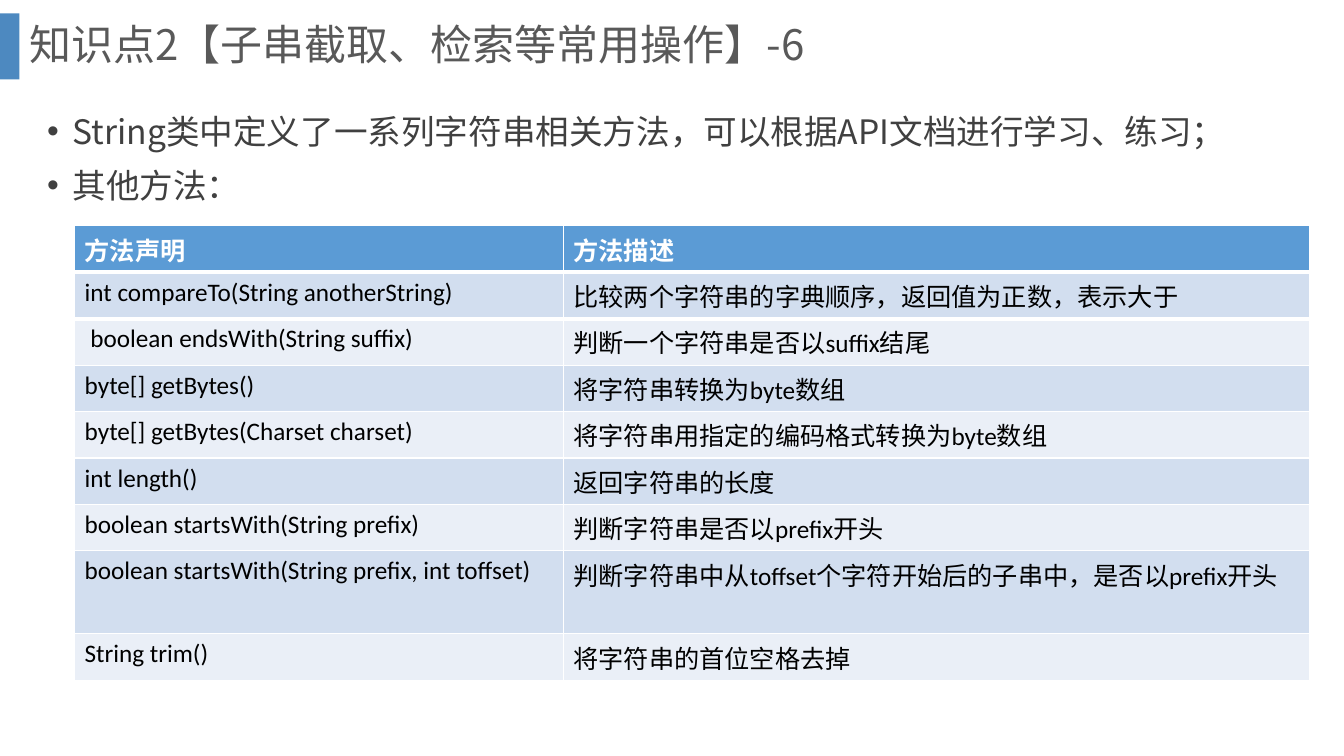
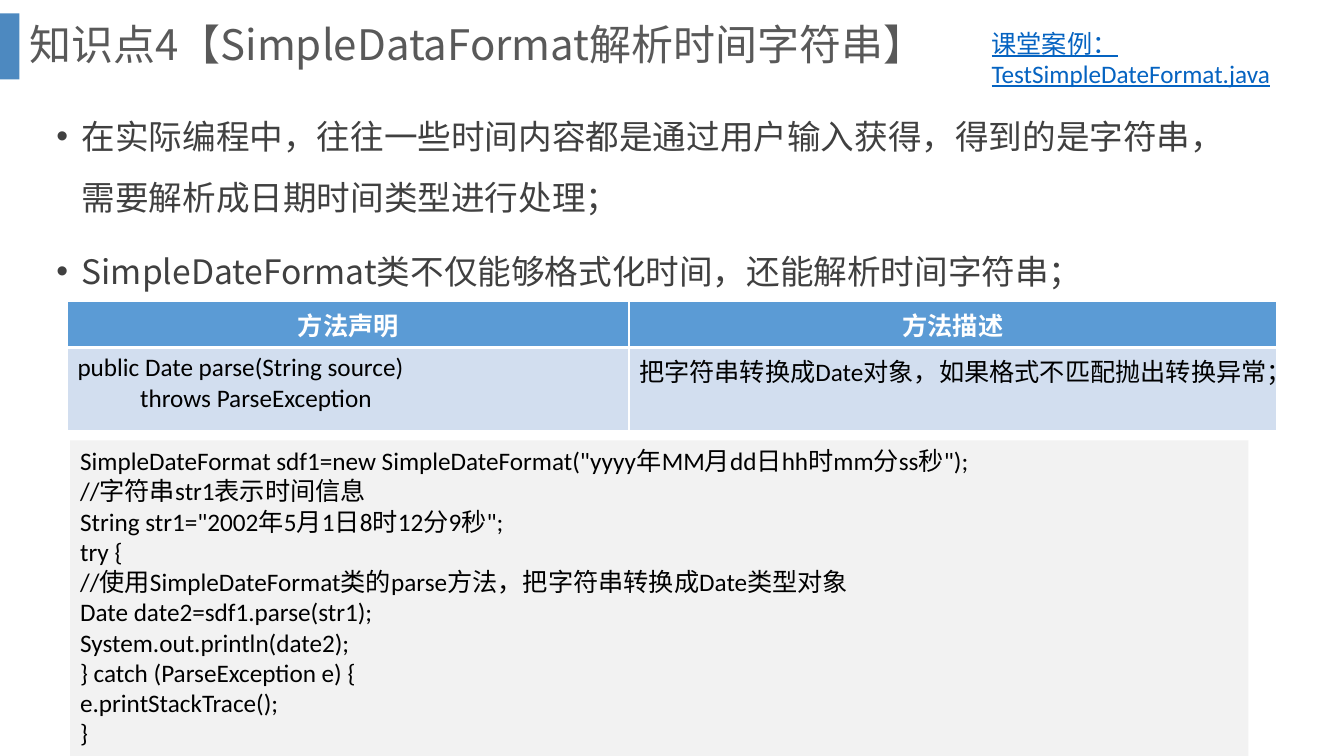
"""Builds two lesson slides on Java strings and date parsing."""
from pptx import Presentation, util as u
from pptx.dml.color import RGBColor
from pptx.enum import shapes, text
from pptx.oxml.ns import qn
from lxml import etree

Cm, Pt = u.Cm, u.Pt
WHITE = RGBColor(0xFF, 0xFF, 0xFF)
BLACK = RGBColor(0, 0, 0)
BAND = RGBColor(0x2E, 0x75, 0xB6)
TITLE = RGBColor(0x59, 0x59, 0x59)
BODY = RGBColor(0x40, 0x40, 0x40)
HEAD = RGBColor(0x5B, 0x9B, 0xD5)
ROWS = [RGBColor(0xD2, 0xDE, 0xEF), RGBColor(0xEA, 0xEF, 0xF7)]
CODE = RGBColor(0xF2, 0xF2, 0xF2)
LINK = RGBColor(0x05, 0x63, 0xC1)
SANS, LATIN = "Noto Sans CJK SC", "Calibri"


def write(frame, words, size=18, color=BLACK, font=LATIN, asian=SANS, bold=False,
          line=False, align=text.PP_ALIGN.LEFT, space=None, before=0, bullet=False):
    frame.word_wrap = True
    for i, part in enumerate(words.split("\n")):
        para = frame.paragraphs[0] if i == 0 else frame.add_paragraph()
        para.alignment = align
        para.line_spacing = space
        para.space_before = Pt(before)
        if bullet:
            prop = para._p.get_or_add_pPr()
            prop.set("marL", str(Cm(0.64)))
            prop.set("indent", str(-Cm(0.64)))
            etree.SubElement(prop, qn("a:buFont")).set("typeface", "Arial")
            etree.SubElement(prop, qn("a:buChar")).set("char", "•")
        run = para.add_run()
        run.text = part
        run.font.size, run.font.name = Pt(size), font
        run.font.bold, run.font.underline = bold, line
        run.font.color.rgb = color
        etree.SubElement(run._r.get_or_add_rPr(), qn("a:ea")).set("typeface", asian)


def grid(slide, left, top, widths, data, align, tall):
    table = slide.shapes.add_table(len(data), len(widths), Cm(left), Cm(top),
                                   Cm(sum(widths)), Cm(1.17 * len(data))).table
    table.horz_banding = False
    for col, wide in zip(table.columns, widths):
        col.width = Cm(wide)
    for r, row in enumerate(data):
        table.rows[r].height = Cm(2.09 if r == tall else 1.17)
        for c, words in enumerate(row):
            cell = table.cell(r, c)
            cell.fill.solid()
            cell.fill.fore_color.rgb = ROWS[(r - 1) % 2] if r else HEAD
            if r:
                write(cell.text_frame, words)
            else:
                write(cell.text_frame, words, color=WHITE, bold=True, align=align)
            if r < 2:
                edge = etree.Element(qn("a:lnT" if r else "a:lnB"), w=str(Pt(3)))
                paint = etree.SubElement(edge, qn("a:solidFill"))
                etree.SubElement(paint, qn("a:srgbClr")).set("val", str(WHITE))
                cell._tc.get_or_add_tcPr().insert(0, edge)
    return table


deck = Presentation()
deck.slide_width, deck.slide_height = Cm(33.87), Cm(19.05)

titles = ["知识点2【子串截取、检索等常用操作】-6", "知识点4【SimpleDataFormat解析时间字符串】"]
pages = []
for name in titles:
    page = deck.slides.add_slide(deck.slide_layouts[6])
    band = page.shapes.add_shape(shapes.MSO_SHAPE.RECTANGLE, 0, Cm(0.34), Cm(0.49), Cm(1.66))
    band.shadow.inherit = False
    band.fill.solid()
    band.fill.fore_color.rgb = BAND
    tint = band._element.spPr.find(qn("a:solidFill"))[0]
    etree.SubElement(tint, qn("a:alpha")).set("val", "85000")
    band.line.fill.background()
    box = page.shapes.add_textbox(Cm(0.49), 0, Cm(32.16), Cm(2.36))
    box.text_frame.vertical_anchor = text.MSO_ANCHOR.MIDDLE
    write(box.text_frame, name, size=30, color=TITLE, font=SANS, space=0.9)
    pages.append(page)
first, second = pages

bodies = [
    (first, 0.94, 2.16, 3.48,
     "String类中定义了一系列字符串相关方法，可以根据API文档进行学习、练习；\n其他方法："),
    (second, 1.17, 2.29, 5.51,
     "在实际编程中，往往一些时间内容都是通过用户输入获得，得到的是字符串，需要解析成日期时间类型进行处理；\n"
     "SimpleDateFormat类不仅能够格式化时间，还能解析时间字符串；"),
]
for page, left, top, high, words in bodies:
    box = page.shapes.add_textbox(Cm(left), Cm(top), Cm(30.61), Cm(high))
    write(box.text_frame, words, size=24, color=BODY, font=SANS,
          space=1.5, before=10, bullet=True)
    if page is first:
        box.text_frame.paragraphs[1].line_spacing = 1.0

heads = ("方法声明", "方法描述")
grid(first, 1.88, 5.69, [12.32, 18.8], [
    heads,
    ("int compareTo(String anotherString)", "比较两个字符串的字典顺序，返回值为正数，表示大于"),
    (" boolean endsWith(String suffix)", "判断一个字符串是否以suffix结尾"),
    ("byte[] getBytes()", "将字符串转换为byte数组"),
    ("byte[] getBytes(Charset charset)", "将字符串用指定的编码格式转换为byte数组"),
    ("int length()", "返回字符串的长度"),
    ("boolean startsWith(String prefix)", "判断字符串是否以prefix开头"),
    ("boolean startsWith(String prefix, int toffset)",
     "判断字符串中从toffset个字符开始后的子串中，是否以prefix开头"),
    ("String trim()", "将字符串的首位空格去掉"),
], text.PP_ALIGN.LEFT, 7)

table = grid(second, 1.7, 7.59, [14.15, 16.33], [
    heads,
    ("public Date parse(String source)\nthrows ParseException",
     "把字符串转换成Date对象，如果格式不匹配抛出转换异常；"),
], text.PP_ALIGN.CENTER, 1)
throws = table.cell(1, 0).text_frame.paragraphs[1]
throws._p.get_or_add_pPr().set("marL", str(Cm(1.58)))

code = second.shapes.add_shape(shapes.MSO_SHAPE.RECTANGLE, Cm(1.77), Cm(11.1), Cm(29.69), Cm(7.95))
code.shadow.inherit = False
code.fill.solid()
code.fill.fore_color.rgb = CODE
code.line.fill.background()
code.text_frame.vertical_anchor = text.MSO_ANCHOR.TOP
write(code.text_frame, """SimpleDateFormat sdf1=new SimpleDateFormat("yyyy年MM月dd日hh时mm分ss秒");
//字符串str1表示时间信息
String str1="2002年5月1日8时12分9秒";
try {
//使用SimpleDateFormat类的parse方法，把字符串转换成Date类型对象
Date date2=sdf1.parse(str1);
System.out.println(date2);
} catch (ParseException e) {
e.printStackTrace();
}""", asian=LATIN)

box = second.shapes.add_textbox(Cm(24.74), Cm(0.58), Cm(8.48), Cm(1.8))
write(box.text_frame, "课堂案例： TestSimpleDateFormat.java", color=LINK, asian=LATIN, line=True)

deck.save("out.pptx")
